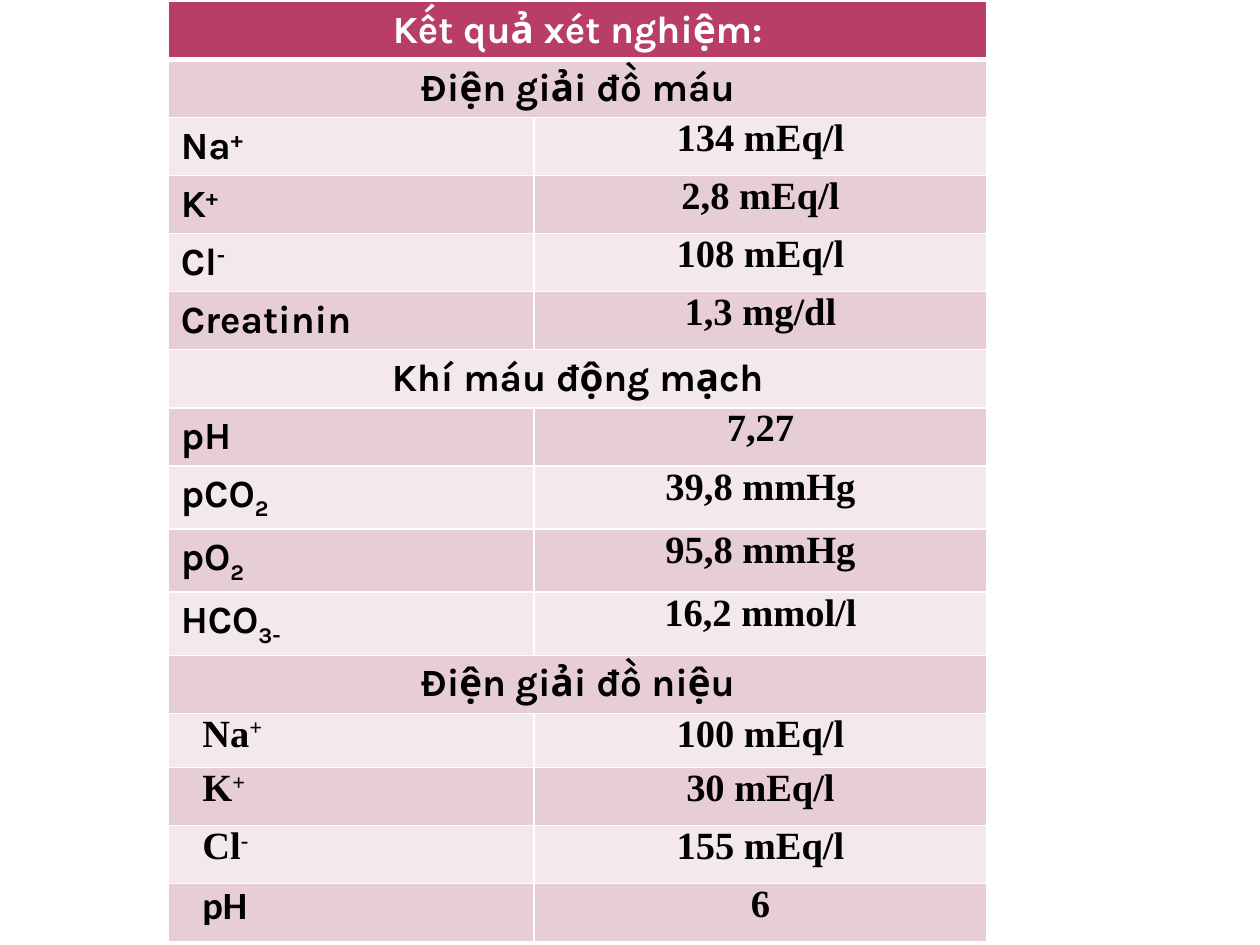
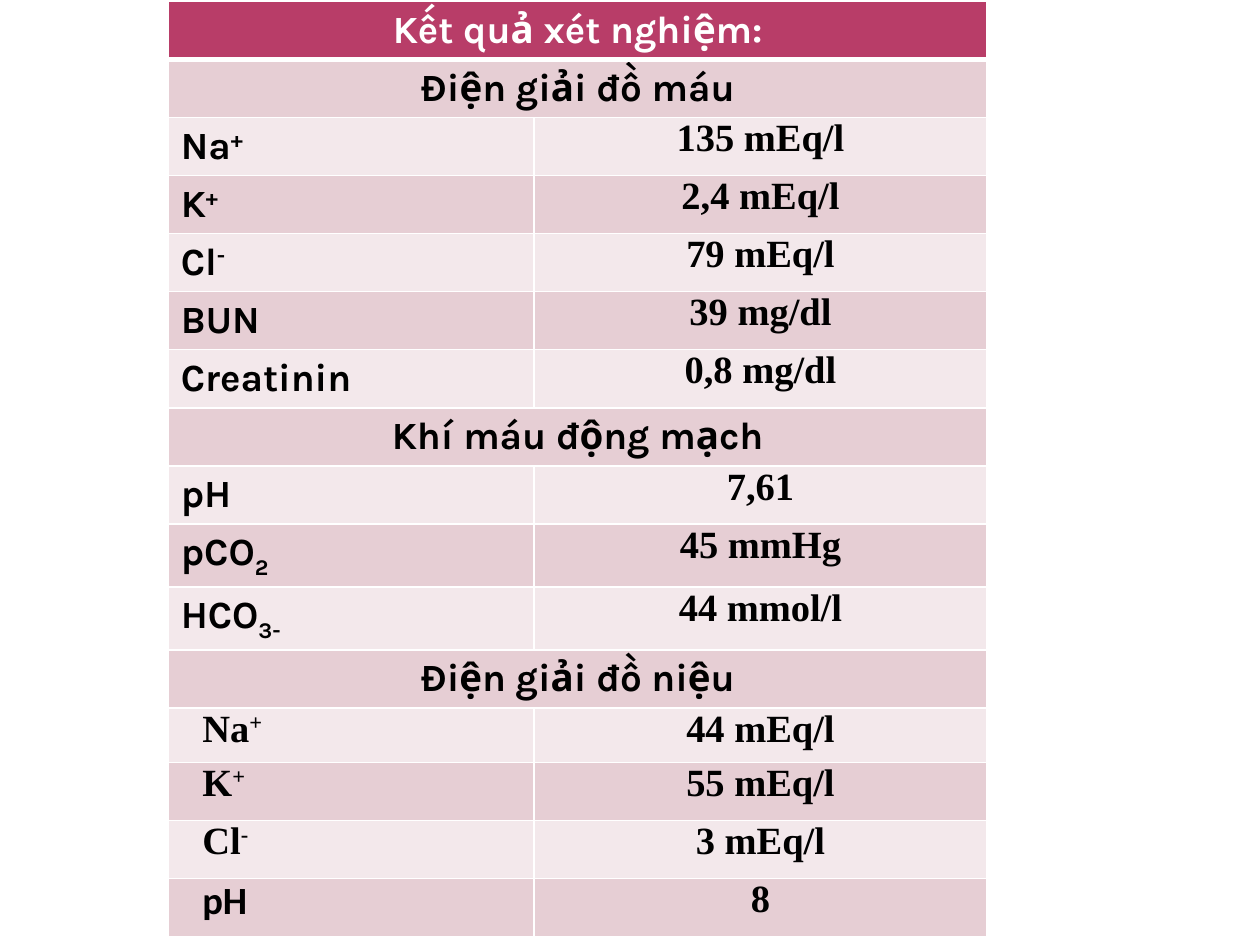
from dataclasses import dataclass

from lxml.etree import SubElement
from pptx import Presentation
from pptx.dml.color import RGBColor
from pptx.enum.text import PP_ALIGN
from pptx.oxml.ns import qn
from pptx.slide import Slide
from pptx.table import Table, _Cell
from pptx.util import Cm, Pt

HEADER_FILL, BAND_FILLS = "B83D68", ("E6CED4", "F3E8EB")
WHITE, BLACK = "FFFFFF", "000000"
HEADING_FONT, VALUE_FONT, URINE_PH_FONT = "Karla", "Times New Roman", "Calibri"
COLUMN_WIDTHS = (Cm(7.37), Cm(9.14))
ROW_HEIGHT, SHORT_ROW_HEIGHT = Cm(1.17), Cm(1.09)
TIGHT_MARGINS = {"margin_left": Cm(0.18), "margin_right": Cm(0.18),
                 "margin_top": 0, "margin_bottom": 0}
URINE_INDENT = Cm(0.51)
THIN, THICK = Pt(1), Pt(3)
SUPERSCRIPT, SUBSCRIPT = 30000, -25000


@dataclass(frozen=True)
class Analyte:
    stem: str
    affix: str = ""
    baseline: int = 0


@dataclass(frozen=True)
class Section:
    heading: str
    results: list[tuple[Analyte, str]]
    urine: bool = False


SODIUM = Analyte("Na", "+", SUPERSCRIPT)
POTASSIUM = Analyte("K", "+", SUPERSCRIPT)
CHLORIDE = Analyte("Cl", "-", SUPERSCRIPT)
UREA = Analyte("BUN")
CREATININE = Analyte("Creatinin")
ACIDITY = Analyte("pH")
CARBON_DIOXIDE = Analyte("pCO", "2", SUBSCRIPT)
OXYGEN = Analyte("pO", "2", SUBSCRIPT)
BICARBONATE = Analyte("HCO", "3-", SUBSCRIPT)


def lab_report(blood: list[tuple[Analyte, str]], gases: list[tuple[Analyte, str]],
               urine: list[tuple[Analyte, str]]) -> list[Section]:
    return [Section("Điện giải đồ máu", blood),
            Section("Khí máu động mạch", gases),
            Section("Điện giải đồ niệu", urine, urine=True)]


REPORTS = [
    lab_report(
        blood=[(SODIUM, "134 mEq/l"), (POTASSIUM, "2,8 mEq/l"),
               (CHLORIDE, "108 mEq/l"), (CREATININE, "1,3 mg/dl")],
        gases=[(ACIDITY, "7,27"), (CARBON_DIOXIDE, "39,8 mmHg"),
               (OXYGEN, "95,8 mmHg"), (BICARBONATE, "16,2 mmol/l")],
        urine=[(SODIUM, "100 mEq/l"), (POTASSIUM, "30 mEq/l"),
               (CHLORIDE, "155 mEq/l"), (ACIDITY, "6")]),
    lab_report(
        blood=[(SODIUM, "135 mEq/l"), (POTASSIUM, "2,4 mEq/l"),
               (CHLORIDE, "79 mEq/l"), (UREA, "39 mg/dl"),
               (CREATININE, "0,8 mg/dl")],
        gases=[(ACIDITY, "7,61"), (CARBON_DIOXIDE, "45 mmHg"),
               (BICARBONATE, "44 mmol/l")],
        urine=[(SODIUM, "44 mEq/l"), (POTASSIUM, "55 mEq/l"),
               (CHLORIDE, "3 mEq/l"), (ACIDITY, "8")]),
]


def rgb(hex_color: str) -> RGBColor:
    return RGBColor.from_string(hex_color)


def apply_format(target: object, values: dict[str, object]) -> None:
    for name, value in values.items():
        setattr(target, name, value)


def set_borders(cell: _Cell, top: int, bottom: int) -> None:
    properties = cell._tc.get_or_add_tcPr()
    for side, width in {"L": THIN, "R": THIN, "T": top, "B": bottom}.items():
        line = SubElement(properties, qn(f"a:ln{side}"), w=str(width))
        SubElement(SubElement(line, qn("a:solidFill")), qn("a:srgbClr"), val=WHITE)


def style_row(table: Table, row: int) -> None:
    """Fill and rule one row: header first, then alternating bands."""
    fill = BAND_FILLS[(row - 1) % 2] if row else HEADER_FILL
    for cell in table.rows[row].cells:
        set_borders(cell, top=THICK if row == 1 else THIN,
                    bottom=THIN if row else THICK)
        cell.fill.solid()
        cell.fill.fore_color.rgb = rgb(fill)


def write(cell: _Cell, content: Analyte, font: str, color: str = BLACK,
          centered: bool = True, indent: int = 0) -> None:
    paragraph = cell.text_frame.paragraphs[0]
    paragraph.alignment = PP_ALIGN.CENTER if centered else PP_ALIGN.LEFT
    if indent:
        apply_format(paragraph._p.get_or_add_pPr(), {})
        paragraph._p.get_or_add_pPr().set("marL", str(indent))
    for text, baseline in ((content.stem, 0), (content.affix, content.baseline)):
        if not text:
            continue
        run = paragraph.add_run()
        run.text = text
        apply_format(run.font, {"name": font, "size": Pt(22), "bold": True})
        run.font.color.rgb = rgb(color)
        if baseline:
            run._r.get_or_add_rPr().set("baseline", str(baseline))


def write_heading(table: Table, row: int, heading: str, color: str = BLACK) -> None:
    table.cell(row, 0).merge(table.cell(row, 1))
    write(table.cell(row, 0), Analyte(heading), HEADING_FONT, color)


def write_result(table: Table, row: int, analyte: Analyte, value: str,
                 urine: bool) -> None:
    label, reading = table.rows[row].cells
    apply_format(reading, TIGHT_MARGINS)
    write(reading, Analyte(value), VALUE_FONT)
    if urine:
        apply_format(label, TIGHT_MARGINS)
        font = URINE_PH_FONT if analyte == ACIDITY else VALUE_FONT
        write(label, analyte, font, centered=False, indent=URINE_INDENT)
    else:
        write(label, analyte, HEADING_FONT, centered=False)


def add_report(slide: Slide, sections: list[Section]) -> None:
    row_count = 1 + sum(1 + len(section.results) for section in sections)
    table = slide.shapes.add_table(
        row_count, len(COLUMN_WIDTHS), Cm(3.39), Cm(0.03),
        sum(COLUMN_WIDTHS), ROW_HEIGHT * row_count).table
    for column, width in zip(table.columns, COLUMN_WIDTHS):
        column.width = width
    for row in range(row_count):
        table.rows[row].height = ROW_HEIGHT
        style_row(table, row)

    write_heading(table, 0, "Kết quả xét nghiệm:", WHITE)
    row = 1
    for section in sections:
        write_heading(table, row, section.heading)
        if section.urine:
            table.rows[row + 1].height = SHORT_ROW_HEIGHT
        for row, (analyte, value) in enumerate(section.results, row + 1):
            write_result(table, row, analyte, value, section.urine)
        row += 1


def main() -> None:
    presentation = Presentation()
    apply_format(presentation, {"slide_width": Cm(25.4), "slide_height": Cm(19.05)})
    blank_layout = presentation.slide_layouts[6]
    for sections in REPORTS:
        add_report(presentation.slides.add_slide(blank_layout), sections)
    presentation.save("out.pptx")


if __name__ == "__main__":
    main()
